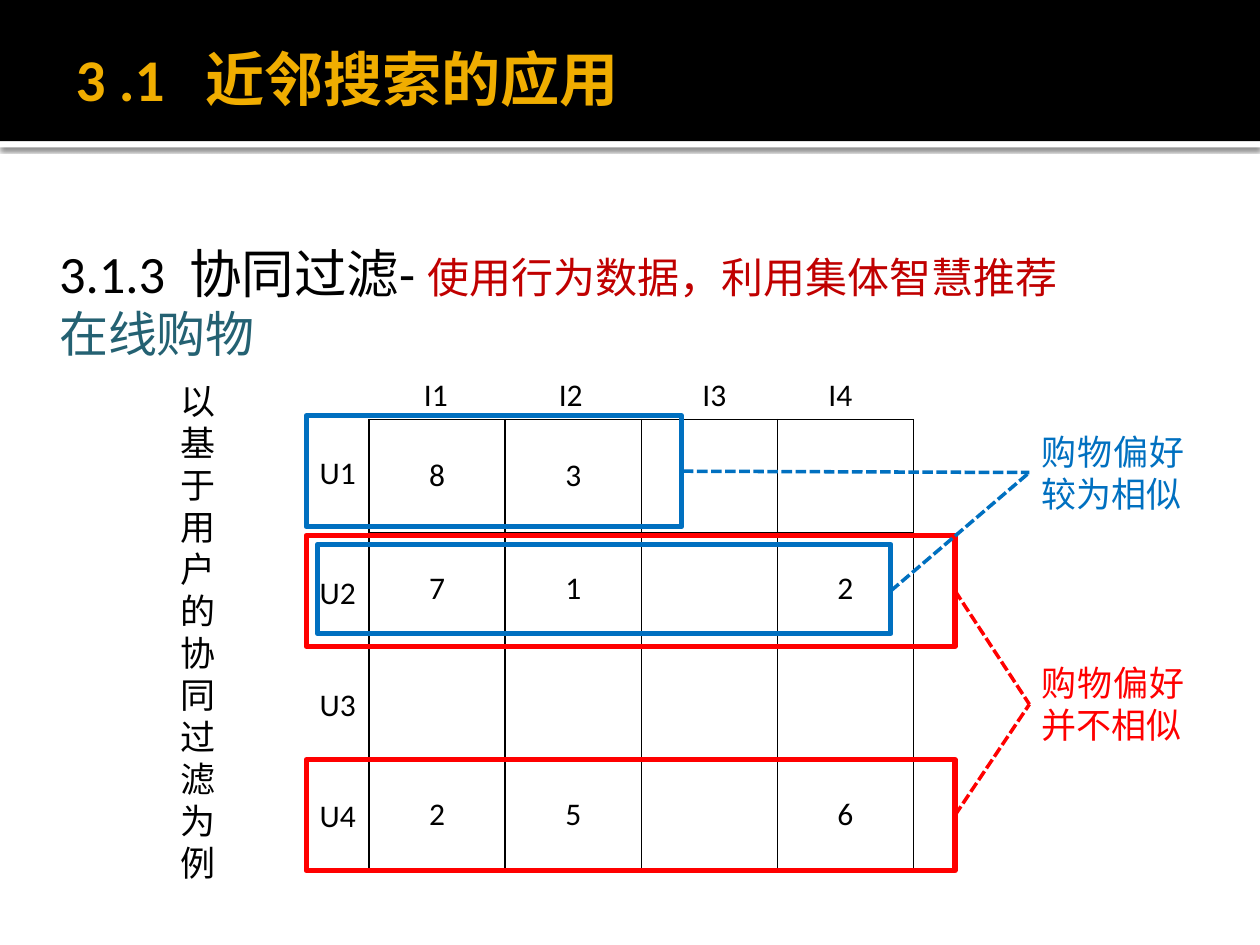
import pptx
import pptx.dml.color
import pptx.enum.dml
import pptx.enum.shapes
import pptx.enum.text
import pptx.oxml.ns
import pptx.util
from lxml import etree

Inches = pptx.util.Inches
Pt = pptx.util.Pt
RGB = pptx.dml.color.RGBColor
ALIGN = pptx.enum.text.PP_ALIGN
ANCHOR = pptx.enum.text.MSO_ANCHOR
qn = pptx.oxml.ns.qn

BLACK = RGB(0, 0, 0)
WHITE = RGB(255, 255, 255)
GOLD = RGB(0xF0, 0xAD, 0x00)
CRIMSON = RGB(0xC0, 0, 0)
TEAL = RGB(0x24, 0x61, 0x72)
RED = RGB(0xFF, 0, 0)
BLUE = RGB(0, 0x70, 0xC0)
SANS = "Noto Sans CJK SC"
SCORES = (("8", "3", "", ""), ("7", "1", "", "2"), ("", "", "", ""), ("2", "5", "", "6"))


def put(item, form):
    """Set each attribute of an item from a dict."""
    for name, value in form.items():
        setattr(item, name, value)


def add_run(para, text, size, color, face="Calibri", asian=SANS, bold=False):
    """Add a run with Latin and East Asian fonts."""
    run = para.add_run()
    run.text = text
    put(run.font, {"name": face, "size": Pt(size), "bold": bold})
    run.font.color.rgb = color
    latin = run.font._element.find(qn("a:latin"))
    latin.addnext(etree.Element(qn("a:ea"), typeface=asian))


def add_text(slide, area, text, size=18, color=BLACK, align=ALIGN.CENTER):
    """Add a wrapped text box with one paragraph."""
    frame = slide.shapes.add_textbox(*map(Inches, area)).text_frame
    frame.word_wrap = True
    para = frame.paragraphs[0]
    para.alignment = align
    add_run(para, text, size, color)


def add_rect(slide, area, fill=None, line=None):
    """Add a plain rectangle, filled or outlined."""
    rect = slide.shapes.add_shape(pptx.enum.shapes.MSO_SHAPE.RECTANGLE, *map(Inches, area))
    rect.shadow.inherit = False
    if fill is None:
        rect.fill.background()
        rect.line.color.rgb = line
        rect.line.width = Pt(3)
    else:
        rect.fill.solid()
        rect.fill.fore_color.rgb = fill
        rect.line.fill.background()
    return rect


def add_dash(slide, start, end, color):
    """Add a dashed line between two points."""
    kind = pptx.enum.shapes.MSO_CONNECTOR.STRAIGHT
    dash = slide.shapes.add_connector(kind, *map(Inches, start + end))
    dash.line.color.rgb = color
    put(dash.line, {"width": Pt(2), "dash_style": pptx.enum.dml.MSO_LINE.SQUARE_DOT})
    etree.SubElement(dash._element.spPr, qn("a:effectLst"))


def add_head(slide):
    """Draw the header bands and the title."""
    strip = add_rect(slide, (0, 1.12, 10, 0.05), WHITE)
    band = add_rect(slide, (0, 0, 10, 1.12), BLACK)
    effects = strip._element.spPr.find(qn("a:effectLst"))
    shade = etree.SubElement(effects, qn("a:outerShdw"), blurRad=str(Pt(2.5)),
                             dist=str(Pt(0.8)), dir="5400000", algn="tl", rotWithShape="0")
    tint = etree.SubElement(shade, qn("a:srgbClr"), val="000000")
    etree.SubElement(tint, qn("a:alpha"), val="60000")
    for spot, shape in enumerate((strip, band), 2):
        slide.shapes._spTree.insert(spot, shape._element)
    title = slide.shapes.title
    put(title, {"left": Inches(0.5), "top": Inches(0.08),
                "width": Inches(9), "height": Inches(1.08)})
    frame = title.text_frame
    put(frame, {"vertical_anchor": ANCHOR.MIDDLE, "margin_left": Inches(0.1),
                "margin_right": Inches(0.05), "word_wrap": True})
    para = frame.paragraphs[0]
    para.alignment = ALIGN.LEFT
    for text in ("3 .1   ", "近邻搜索的应用"):
        add_run(para, text, 33.8, GOLD, asian="Noto Sans CJK JP", bold=True)


def add_intro(slide):
    """Add the two lines of section text."""
    frame = slide.shapes.add_textbox(*map(Inches, (0.31, 1.81, 9.56, 1.09))).text_frame
    put(frame, {"word_wrap": True, "margin_left": Inches(0.06), "margin_top": Inches(0.1)})
    first, second = frame.paragraphs[0], frame.add_paragraph()
    for para in (first, second):
        para._p.get_or_add_pPr().set("marL", str(Inches(0.1)))
    add_run(first, "3.1.3  协同过滤- ", 30, BLACK)
    add_run(first, "使用行为数据，利用集体智慧推荐", 24, CRIMSON, SANS)
    add_run(second, "在线购物", 28, TEAL, "Arial")


def add_edges(cell):
    """Draw thin black borders on a cell."""
    props = cell._tc.get_or_add_tcPr()
    for spot, side in enumerate(("lnL", "lnR", "lnT", "lnB")):
        edge = etree.Element(qn("a:" + side), w=str(Pt(1)))
        fill = etree.SubElement(edge, qn("a:solidFill"))
        etree.SubElement(fill, qn("a:srgbClr"), val="000000")
        props.insert(spot, edge)


def add_grid(slide):
    """Add the table of user scores."""
    area = map(Inches, (2.93, 3.33, 4.32, 3.58))
    table = slide.shapes.add_table(4, 4, *area).table
    put(table, {"first_row": False, "horz_banding": False})
    for row, scores in enumerate(SCORES):
        for col, score in enumerate(scores):
            cell = table.cell(row, col)
            cell.vertical_anchor = ANCHOR.MIDDLE
            cell.fill.background()
            add_edges(cell)
            if score:
                para = cell.text_frame.paragraphs[0]
                para.alignment = ALIGN.CENTER
                add_run(para, score, 18, BLACK)


def main():
    """Build and save the slide."""
    deck = pptx.Presentation()
    put(deck, {"slide_width": Inches(10), "slide_height": Inches(7.5)})
    slide = deck.slides.add_slide(deck.slide_layouts[5])
    add_head(slide)
    add_intro(slide)
    add_grid(slide)
    for num, top in enumerate((3.55, 4.5, 5.39, 6.27), 1):
        add_text(slide, (2.43, top, 0.5, 0.4), f"U{num}")
    for num, left in enumerate((3.21, 4.28, 5.42, 6.42), 1):
        add_text(slide, (left, 2.93, 0.5, 0.4), f"I{num}")
    for top in (4.25, 6.03):
        add_rect(slide, (2.43, top, 5.15, 0.88), line=RED)
        add_dash(slide, (7.58, top + 0.44), (8.17, 5.59), RED)
    add_text(slide, (8.17, 5.2, 1.33, 0.77), "购物偏好并不相似", 20, RED, ALIGN.JUSTIFY)
    add_text(slide, (8.17, 3.37, 1.33, 0.77), "购物偏好较为相似", 20, BLUE, ALIGN.JUSTIFY)
    for area in ((2.43, 3.3, 2.98, 0.88), (2.52, 4.32, 4.55, 0.71)):
        add_rect(slide, area, line=BLUE)
    for start in ((5.42, 3.74), (7.07, 4.69)):
        add_dash(slide, start, (8.17, 3.75), BLUE)
    add_text(slide, (1.28, 2.96, 0.58, 4.14), "以基于用户的协同过滤为例", 20)
    deck.save("out.pptx")


if __name__ == "__main__":
    main()
